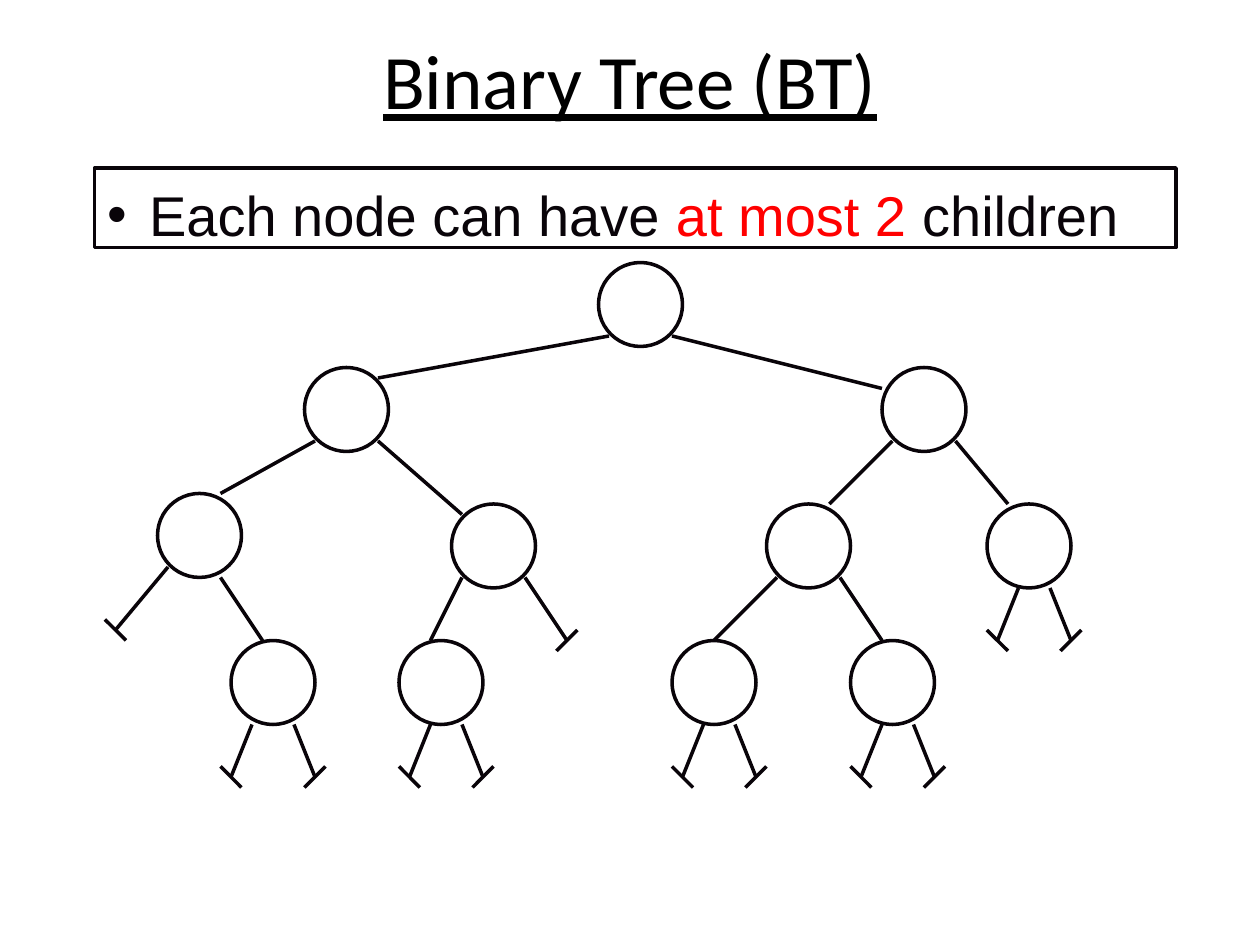
from lxml.etree import SubElement
from pptx import Presentation
from pptx.dml.color import RGBColor
from pptx.enum.shapes import MSO_CONNECTOR as Connector, MSO_SHAPE as Shape
from pptx.enum.text import MSO_ANCHOR as Anchor, MSO_AUTO_SIZE as AutoSize
from pptx.oxml.ns import qn
from pptx.util import Pt

TITLE = "Binary Tree (BT)"
INK, RED = "090409", "FF0000"
STATEMENT = [("Each node can have ", INK), ("at most 2 ", RED), ("children", INK)]

GRID = 6
NODE_SIZE = 8
INNER_NODES = [(57, 25), (29, 35), (84, 35), (15, 47), (43, 48), (73, 48)]
LEAVES = [(22, 61), (38, 61), (64, 61), (81, 61), (94, 48)]
CHILD_LINKS = [
    ((58, 32), (36, 36)), ((64, 32), (84, 37)),
    ((30, 42), (21, 47)), ((36, 42), (44, 49)),
    ((85, 42), (79, 48)), ((91, 42), (96, 48)),
    ((21, 55), (25, 61)), ((44, 55), (41, 61)),
    ((74, 55), (68, 61)), ((80, 55), (84, 61)),
]
LEFT_NULLS = [((16, 54), (11, 60)), ((24, 69), (22, 74))]
RIGHT_NULLS = [((50, 55), (54, 61))]

LEFT_NULLS += [((x + 3, y + 8), (x + 1, y + 13)) for x, y in LEAVES[1:]]
RIGHT_NULLS += [((x + 6, y + 8), (x + 8, y + 13)) for x, y in LEAVES]


def color(value):
    return RGBColor.from_string(value)


def apply(target, values):
    for name, value in values.items():
        setattr(target, name, value)


def place(shape, left, top, width, height):
    apply(shape, {"left": Pt(left), "top": Pt(top),
                  "width": Pt(width), "height": Pt(height)})


def outline(shape):
    shape.line.color.rgb = color(INK)
    shape.line.width = Pt(2)


def add_node(slide, x, y):
    node = slide.shapes.add_shape(
        Shape.OVAL, *(Pt(GRID * value) for value in (x, y, NODE_SIZE, NODE_SIZE)))
    node.shadow.inherit = False
    node.fill.background()
    outline(node)


def add_link(slide, start, end):
    link = slide.shapes.add_connector(
        Connector.STRAIGHT, *(Pt(GRID * value) for value in (*start, *end)))
    outline(link)
    SubElement(link._element.spPr, qn("a:effectLst"))


def add_null(slide, start, end, slope):
    x, y = end
    add_link(slide, start, end)
    add_link(slide, (x - 1, y - slope), (x + 1, y + slope))


def add_title(slide):
    title = slide.shapes.title
    place(title, 54, 0, 612, 90)
    title.text_frame.text = TITLE
    apply(title.text_frame.paragraphs[0].runs[0].font,
          {"name": "Calibri", "size": Pt(44), "underline": True})


def add_statement(slide):
    body = slide.placeholders[1]
    place(body, 54, 96, 618, 45.5)
    outline(body)
    frame = body.text_frame
    apply(frame, {"word_wrap": True, "auto_size": AutoSize.NONE,
                  "vertical_anchor": Anchor.TOP,
                  "margin_top": Pt(7), "margin_bottom": Pt(0)})
    paragraph = frame.paragraphs[0]
    properties = paragraph._p.get_or_add_pPr()
    properties.set("marL", str(Pt(24)))
    properties.set("indent", str(-Pt(24)))
    SubElement(properties, qn("a:buFont"), typeface="Arial")
    SubElement(properties, qn("a:buChar"), char="•")
    paragraph.space_before = Pt(0)
    for text, ink in STATEMENT:
        run = paragraph.add_run()
        run.text = text
        apply(run.font, {"name": "Arial", "size": Pt(32)})
        run.font.color.rgb = color(ink)


def main():
    presentation = Presentation()
    apply(presentation, {"slide_width": Pt(720), "slide_height": Pt(540)})
    slide = presentation.slides.add_slide(presentation.slide_layouts[1])
    add_title(slide)
    for node in INNER_NODES + LEAVES:
        add_node(slide, *node)
    for link in CHILD_LINKS:
        add_link(slide, *link)
    for nulls, slope in ((LEFT_NULLS, 1), (RIGHT_NULLS, -1)):
        for link in nulls:
            add_null(slide, *link, slope)
    add_statement(slide)
    presentation.save("out.pptx")


if __name__ == "__main__":
    main()
